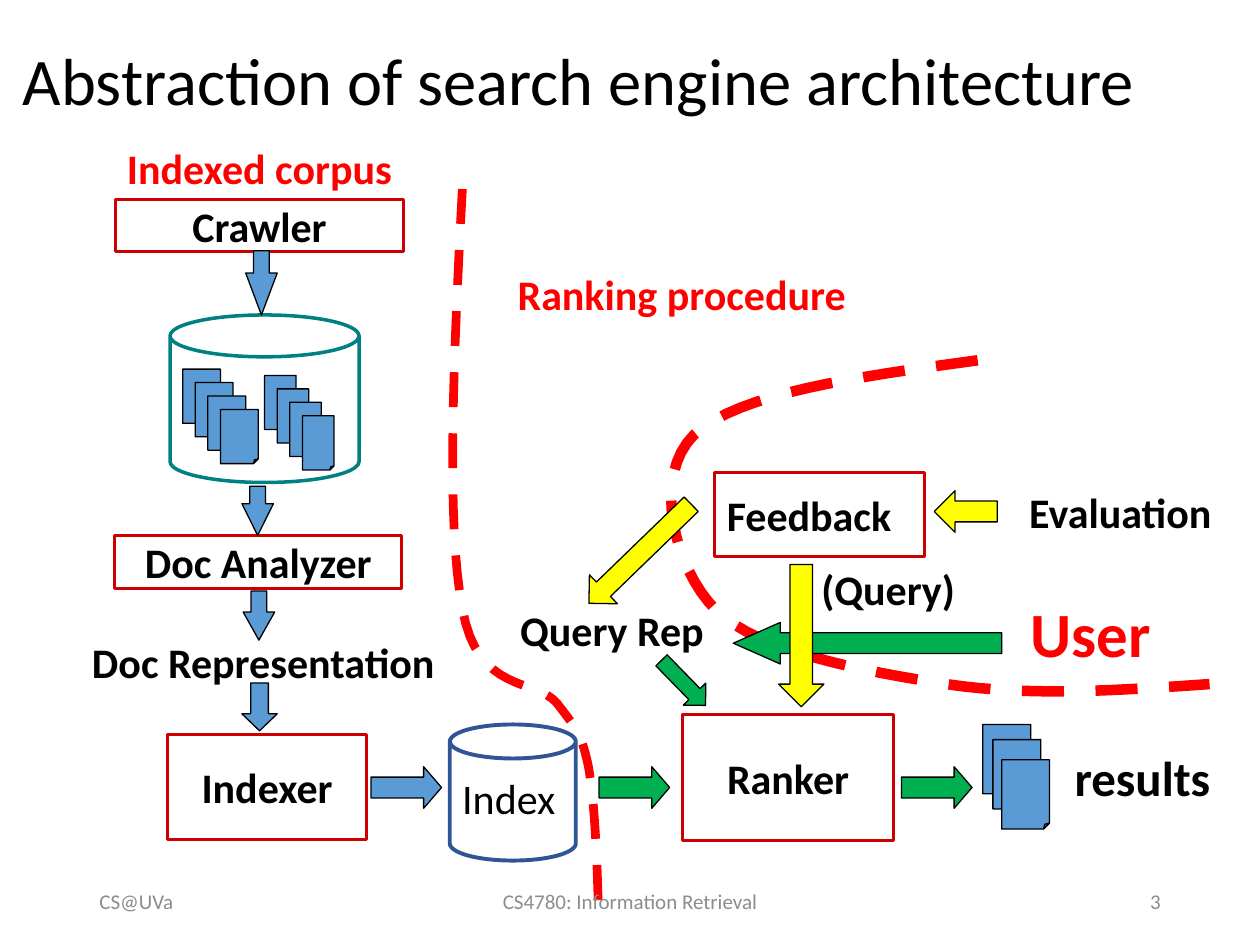
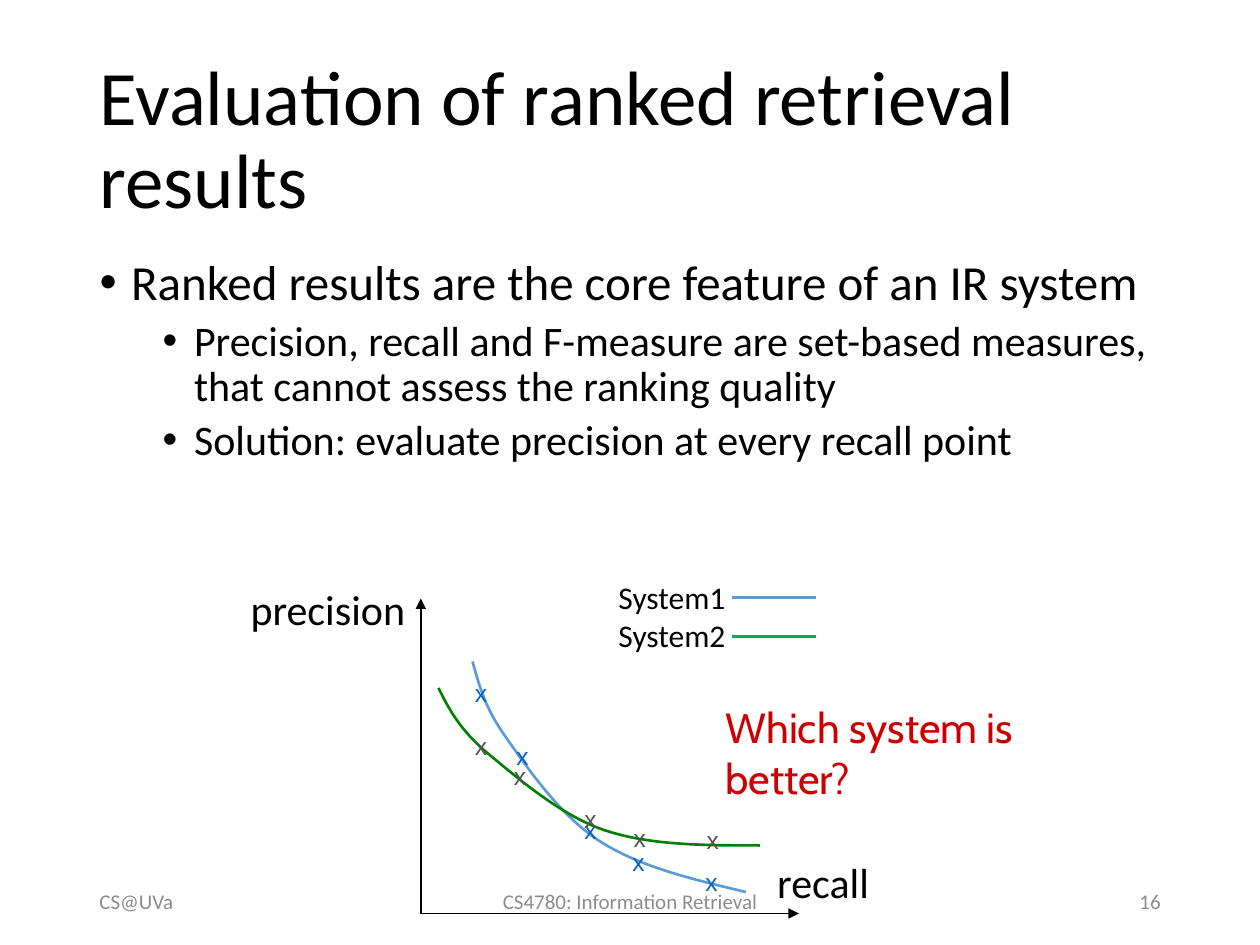
from lxml import etree
from pptx import Presentation
from pptx import util as u
from pptx.dml.color import RGBColor
from pptx.enum import dml, shapes, text
from pptx.oxml.ns import qn

COLUMNS = 10
WIDTH, HEIGHT = u.Inches(10), u.Inches(7.5)
CELL = WIDTH / COLUMNS
BLACK, GREY, RED, FRAME = "000000", "8C8C8C", "FF0000", "CC0000"
BLUE, GREEN, YELLOW = "5B9BD5", "00B050", "FFFF00"
TEAL, NAVY, CURVE_GREEN = "008080", "2F5597", "008000"
MARK_BLUE, MARK_GREY = "0563C1", "525252"
MST, AL = shapes.MSO_SHAPE, text.PP_ALIGN
MIDDLE = text.MSO_ANCHOR.MIDDLE


def rgb(color):
    return RGBColor.from_string(color)


def grid(*cells):
    return [round(c * CELL) for c in cells]


def style(p, size, color=BLACK, bold=False, font="Calibri", align=AL.LEFT):
    p.alignment = align
    for r in p.runs:
        r.font.size, r.font.bold, r.font.name = u.Pt(size), bold, font
        r.font.color.rgb = rgb(color)


def write(sp, words, size=24, anchor=None, **look):
    tf = sp.text_frame
    tf.word_wrap = True
    if anchor is not None:
        tf.vertical_anchor = anchor
    tf.text = words
    for p in tf.paragraphs:
        style(p, size, **look)


def label(s, words, box, size=24, **look):
    write(s.shapes.add_textbox(*grid(*box)), words, size, **look)


def outline(sp, color, width, fill=None):
    sp.shadow.inherit = False
    if fill:
        sp.fill.solid()
        sp.fill.fore_color.rgb = rgb(fill)
    else:
        sp.fill.background()
    sp.line.color.rgb = rgb(color)
    sp.line.width = u.Pt(width)


def preset(s, kind, box, color=BLACK, width=0.75, fill=None):
    sp = s.shapes.add_shape(kind, *grid(*box))
    outline(sp, color, width, fill)
    return sp


def module(s, words, box, align=AL.CENTER):
    sp = preset(s, MST.RECTANGLE, box, FRAME, 1.75)
    write(sp, words, bold=True, anchor=MIDDLE, align=align)


def arrow(s, box, fill, head=0.5, turn=0):
    sp = preset(s, MST.DOWN_ARROW, box, fill=fill)
    sp.adjustments[1] = head
    sp.rotation = turn


def can(s, box, color, width, lid):
    preset(s, MST.CAN, box, color, width).adjustments[0] = lid


def pages(s, left, top, size, steps):
    for dx, dy in steps:
        sp = preset(s, MST.FOLDED_CORNER, (left + dx, top + dy, *size), fill=BLUE)
        for guides in sp._element.spPr.iter(qn("a:avLst")):
            etree.SubElement(guides, qn("a:gd"), name="adj", fmla="val 12500")


def bezier(a, b, c, d, t):
    k = 1 - t
    return [k**3 * e + 3 * k * k * t * f + 3 * k * t * t * g + t**3 * h
            for e, f, g, h in zip(a, b, c, d)]


def curve(s, points, color, width, dashed=False, steps=16):
    track = [bezier(*points[i:i + 4], n / steps)
             for i in range(0, len(points) - 1, 3) for n in range(1, steps + 1)]
    builder = s.shapes.build_freeform(*grid(*points[0]), scale=1.0)
    builder.add_line_segments([grid(*xy) for xy in track], close=False)
    sp = builder.convert_to_shape()
    outline(sp, color, width)
    if dashed:
        sp.line.dash_style = dml.MSO_LINE.DASH


def line(s, start, end, color, width, arrowhead=False):
    cn = s.shapes.add_connector(shapes.MSO_CONNECTOR.STRAIGHT, *grid(*start, *end))
    cn.line.color.rgb = rgb(color)
    cn.line.width = u.Pt(width)
    spPr = cn._element.spPr
    if arrowhead:
        etree.SubElement(spPr.find(qn("a:ln")), qn("a:tailEnd"), type="triangle")
    etree.SubElement(spPr, qn("a:effectLst"))


def place(sp, box):
    sp.left, sp.top, sp.width, sp.height = grid(*box)


def new_slide(prs, layout, title, box, size):
    s = prs.slides.add_slide(prs.slide_layouts[layout])
    place(s.shapes.title, box)
    write(s.shapes.title, title, size, anchor=MIDDLE)
    s.shapes.title.text_frame.paragraphs[0].line_spacing = 0.9
    return s


def footers(s, number):
    for words, left, width, align in (
            ("CS@UVa", 0.69, 2.25, AL.LEFT),
            ("CS4780: Information Retrieval", 3.31, 3.38, AL.CENTER),
            (str(number), 7.06, 2.25, AL.RIGHT)):
        label(s, words, (left, 6.95, width, 0.4), 12, color=GREY, align=align,
              anchor=MIDDLE)


def bullets(sp, items):
    sp.text_frame.text = "\n".join(words for _, words in items)
    for p, (level, _) in zip(sp.text_frame.paragraphs, items):
        p.level = level
        style(p, 24 if level else 28)
        p.line_spacing = 0.9
        p.space_before = u.Pt(5 if level else 10)
        pPr = p._p.get_or_add_pPr()
        pPr.set("marL", str(u.Inches(0.25 + 0.5 * level)))
        pPr.set("indent", str(u.Inches(-0.25)))
        etree.SubElement(pPr, qn("a:buFont"), typeface="Arial")
        etree.SubElement(pPr, qn("a:buChar"), char="•")


def corpus_side(s):
    module(s, "Crawler", (0.92, 1.58, 2.28, 0.42))
    module(s, "Doc Analyzer", (0.91, 4.25, 2.28, 0.42))
    module(s, "Indexer", (1.33, 5.83, 1.58, 0.83))
    can(s, (1.35, 2.5, 1.5, 1.33), TEAL, 2, 0.25)
    stack = [(0.1 * n, 0.32 * n / 3) for n in range(4)]
    pages(s, 1.45, 2.93, (0.3, 0.43), stack)
    pages(s, 2.1, 2.98, (0.25, 0.43), stack)
    for box, head in (((1.95, 1.99, 0.25, 0.51), 1.33),
                      ((1.92, 3.86, 0.25, 0.39), 1.01),
                      ((1.93, 4.69, 0.25, 0.39), 0.89),
                      ((1.92, 5.42, 0.28, 0.38), 0.48)):
        arrow(s, box, BLUE, head)
    can(s, (3.57, 5.75, 1, 1.08), NAVY, 2.25, 0.27)
    label(s, "Index", (3.57, 6.08, 1.1, 0.5))
    label(s, "Doc Representation", (0.34, 5, 3.5, 0.5), bold=True, align=AL.CENTER)


def ranking_side(s):
    module(s, "Ranker", (5.42, 5.67, 1.67, 1))
    for left, fill in ((3.06, BLUE), (4.87, GREEN), (7.27, GREEN)):
        arrow(s, (left, 5.97, 0.33, 0.56), fill, 0.43, 270)
    arrow(s, (5.3, 5.17, 0.25, 0.5), GREEN, turn=315.7)
    pages(s, 7.8, 5.75, (0.38, 0.55), [(0, 0), (0.08, 0.12), (0.15, 0.28)])
    label(s, "results", (8.43, 5.88, 1.4, 0.57), 28, bold=True)


def borders(s):
    curve(s, [(3.67, 1.5), (3.6, 2.83), (3.54, 4.15), (3.67, 4.83),
              (3.79, 5.51), (4.25, 5.38), (4.42, 5.58),
              (4.58, 5.79), (4.61, 5.81), (4.67, 6.08),
              (4.72, 6.36), (4.74, 6.81), (4.75, 7.25)], RED, 5, True)
    curve(s, [(7.76, 2.86), (6.81, 2.99), (5.86, 3.12), (5.51, 3.45),
              (5.17, 3.78), (5.35, 4.51), (5.68, 4.84),
              (6.01, 5.17), (6.86, 5.33), (7.51, 5.43),
              (8.17, 5.53), (8.88, 5.48), (9.6, 5.43)], RED, 6, True)


def user_side(s):
    arrow(s, (6.72, 4.04, 0.33, 2.13), GREEN, 1.13, 90)
    label(s, "Query Rep", (4.03, 4.75, 2.22, 0.5), bold=True)
    label(s, "(Query)", (6.42, 4.42, 2.22, 0.5), bold=True)
    label(s, "Evaluation", (8.07, 3.81, 1.8, 0.5), bold=True)
    module(s, "Feedback", (5.67, 3.75, 1.67, 0.67), AL.LEFT)
    arrow(s, (7.5, 3.81, 0.33, 0.5), YELLOW, turn=90)
    arrow(s, (6.18, 4.48, 0.36, 1.13), YELLOW)
    arrow(s, (4.92, 3.83, 0.32, 1.13), YELLOW, turn=45.9)


def architecture_slide(prs):
    s = new_slide(prs, 5, "Abstraction of search engine architecture",
                  (0.08, 0.08, 9.79, 1.17), 38)
    corpus_side(s)
    ranking_side(s)
    borders(s)
    user_side(s)
    footers(s, 3)
    for words, box, size in (("Indexed corpus", (0.91, 1.08, 2.67, 0.5), 24),
                             ("Ranking procedure", (4.01, 2.08, 3.01, 0.5), 24),
                             ("User", (8.08, 4.67, 1.56, 0.7), 36)):
        label(s, words, box, size, color=RED, bold=True)


def precision_recall_plot(s):
    origin = (3.34, 7.25)
    line(s, origin, (3.34, 4.75), BLACK, 1, True)
    line(s, origin, (6.34, 7.25), BLACK, 1, True)
    label(s, "precision", (1.89, 4.58, 1.6, 0.5))
    label(s, "recall", (6.07, 6.75, 1.1, 0.5))
    label(s, "System1\nSystem2", (4.81, 4.54, 1.39, 0.71), 18)
    for y, color in ((4.74, BLUE), (5.05, GREEN)):
        line(s, (5.81, y), (6.48, y), color, 1.5)
    curve(s, [(3.75, 5.25), (3.8, 5.42), (3.84, 5.6), (4, 5.83),
              (4.17, 6.07), (4.43, 6.46), (4.75, 6.67),
              (5.07, 6.88), (5.5, 6.98), (5.92, 7.08)], BLUE, 1.5)
    curve(s, [(3.48, 5.46), (3.56, 5.62), (3.64, 5.78), (3.86, 5.97),
              (4.08, 6.15), (4.44, 6.47), (4.8, 6.59),
              (5.16, 6.71), (5.59, 6.71), (6.03, 6.71)], CURVE_GREEN, 1.5)
    marks = {MARK_BLUE: [(3.67, 5.33), (4, 5.83), (4.54, 6.42), (4.92, 6.67), (5.5, 6.83)],
             MARK_GREY: [(3.67, 5.75), (3.98, 5.99), (4.54, 6.33), (4.93, 6.48), (5.51, 6.5)]}
    for color, places in marks.items():
        for x, y in places:
            label(s, "x", (x, y, 0.3, 0.33), 14, color=color, font="Arial")


def evaluation_slide(prs):
    s = new_slide(prs, 1, "Evaluation of ranked retrieval results",
                  (0.69, 0.4, 8.62, 1.45), 44)
    body = s.placeholders[1]
    place(body, (0.69, 2, 8.62, 4.76))
    bullets(body, [
        (0, "Ranked results are the core feature of an IR system"),
        (1, "Precision, recall and F-measure are set-based measures, "
            "that cannot assess the ranking quality"),
        (1, "Solution: evaluate precision at every recall point")])
    label(s, "Which system is better?", (5.66, 5.52, 3.2, 0.9),
          color=FRAME, font="Cabin")
    precision_recall_plot(s)
    footers(s, 16)


def main():
    prs = Presentation()
    prs.slide_width, prs.slide_height = WIDTH, HEIGHT
    architecture_slide(prs)
    evaluation_slide(prs)
    prs.save("out.pptx")


if __name__ == "__main__":
    main()
